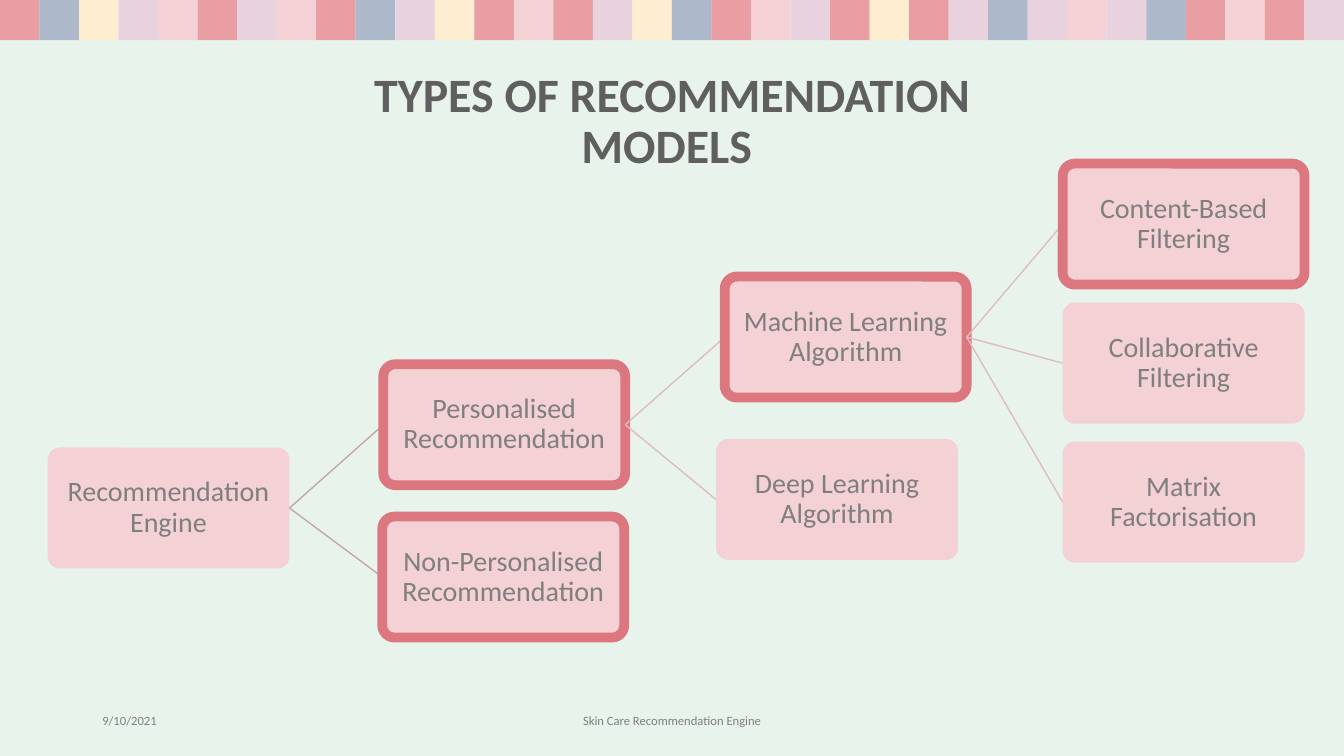
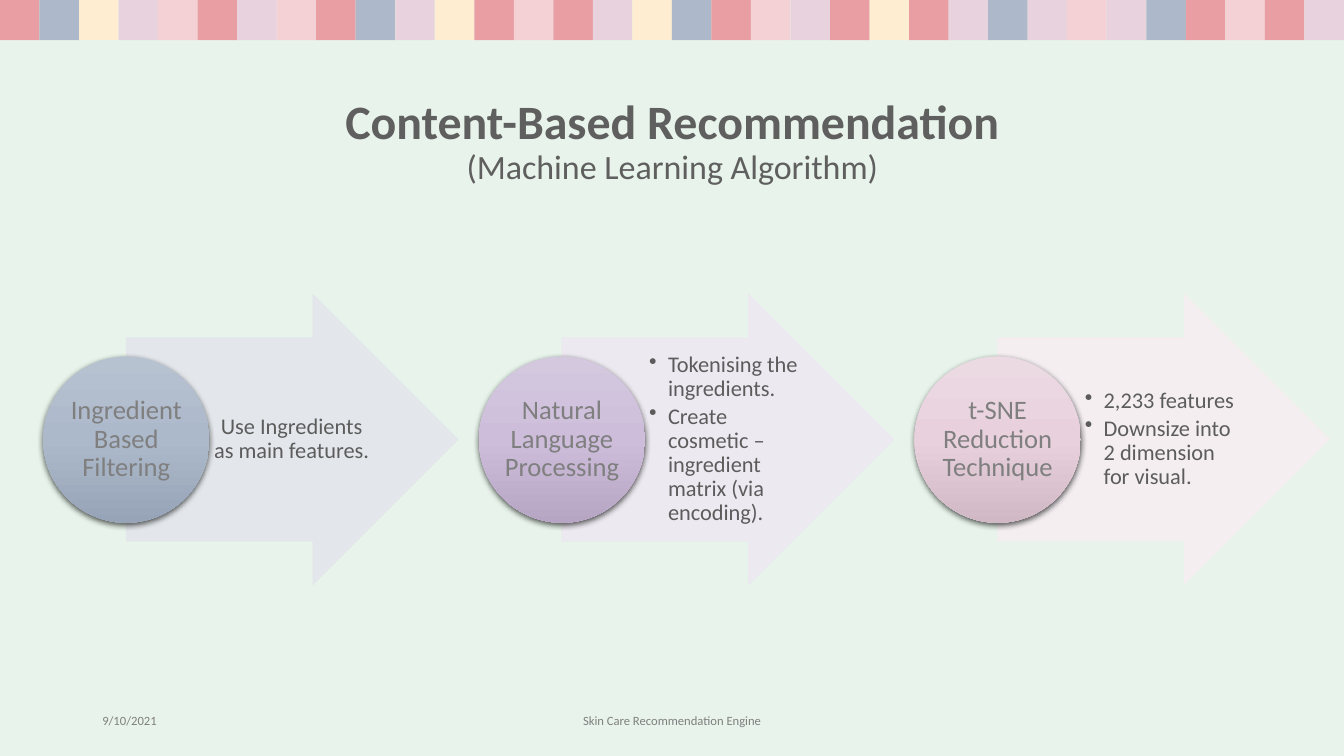
"""Build two slides on recommendation models and content-based filtering."""
from copy import deepcopy

from lxml.etree import SubElement
from pptx import Presentation
from pptx.dml.color import RGBColor
from pptx.enum.shapes import MSO_CONNECTOR as Connector, MSO_SHAPE as Shape
from pptx.enum.text import MSO_ANCHOR as Anchor, PP_ALIGN as Align
from pptx.oxml.ns import qn
from pptx.util import Pt

FONT = "Calibri"
MINT = RGBColor(0xE8, 0xF4, 0xEB)
CORAL = RGBColor(0xE8, 0x9E, 0xA3)
BLUE = RGBColor(0xAD, 0xB9, 0xCA)
CREAM = RGBColor(0xFE, 0xED, 0xD1)
LILAC = RGBColor(0xE7, 0xD2, 0xDD)
PINK = RGBColor(0xF3, 0xD1, 0xD4)
ROSE = RGBColor(0xDC, 0x77, 0x80)
ROOT_BRANCH = RGBColor(0xC3, 0xA7, 0xAA)
BRANCH = RGBColor(0xDD, 0xBE, 0xC0)
TITLE_GRAY = RGBColor(0x5F, 0x5F, 0x5F)
DETAIL_GRAY = RGBColor(0x5C, 0x5C, 0x5C)
LABEL_GRAY = RGBColor(0x7F, 0x7F, 0x7F)
BLACK = RGBColor(0, 0, 0)

WIDTH, HEIGHT = 960, 540
BAND_COLORS = {"R": CORAL, "B": BLUE, "Y": CREAM, "L": LILAC, "P": PINK}
BAND = "RBYLPRLPRBLYRPRLYBRPLRYRLBLPLBRPRL"
TITLE_SIZE, SUBTITLE_SIZE = 34.2, 24.3
NODE_WIDTH, NODE_HEIGHT = 172.8, 86.4
STEP_PITCH = 311.2

NODES = {
    "root": ("Recommendation Engine", 34, 319.7, False),
    "personal": ("Personalised Recommendation", 273.8, 260.2, True),
    "general": ("Non-Personalised Recommendation", 273.1, 369, True),
    "machine": ("Machine Learning Algorithm", 517.7, 197.6, True),
    "deep": ("Deep Learning Algorithm", 511.5, 313.6, False),
    "content": ("Content-Based Filtering", 759.1, 116.9, True),
    "collaborative": ("Collaborative Filtering", 759.1, 216.2, False),
    "matrix": ("Matrix\nFactorisation", 759.1, 315.5, False),
}
BRANCHES = {
    "root": ("personal", "general"),
    "personal": ("machine", "deep"),
    "machine": ("content", "collaborative", "matrix"),
}
STEPS = [
    ("Ingredient Based Filtering", ["Use Ingredients as main features."],
     "E3E6EC", ("B7C2D1", "ACB9CB", "97A4B7")),
    ("Natural Language Processing",
     ["Tokenising the ingredients.",
      "Create cosmetic – ingredient matrix (via encoding)."],
     "EDE8F1", ("D4C8DF", "CDBDDB", "B6A6C4")),
    ("t-SNE Reduction Technique",
     ["2,233 features", "Downsize into 2 dimension for visual."],
     "F6EEF2", ("ECDAE3", "E8D1DD", "D0B8C5")),
]


def set_frame(shape, margins):
    """Wrap and middle-anchor the text, with left, top, right, bottom margins."""
    frame = shape.text_frame
    frame.word_wrap = True
    frame.vertical_anchor = Anchor.MIDDLE
    (frame.margin_left, frame.margin_top,
     frame.margin_right, frame.margin_bottom) = map(Pt, margins)
    return frame


def add_run(paragraph, text, size, color, bold=False):
    """Add one formatted run."""
    run = paragraph.add_run()
    run.text = text
    font = run.font
    font.name, font.size, font.bold = FONT, Pt(size), bold
    font.color.rgb = color


def write_label(shape, text, size, color=LABEL_GRAY, align=Align.CENTER,
                margins=(3.4, 3.4, 3.4, 3.4), spacing=0.9):
    """Write a single paragraph, broken where the text has a line end."""
    paragraph = set_frame(shape, margins).paragraphs[0]
    paragraph.alignment = align
    paragraph.line_spacing = spacing
    for index, line in enumerate(text.split("\n")):
        if index:
            paragraph.add_line_break()
        add_run(paragraph, line, size, color)


def write_bullets(shape, items, size, margins):
    """Write a bulleted list."""
    frame = set_frame(shape, margins)
    for index, item in enumerate(items):
        paragraph = frame.add_paragraph() if index else frame.paragraphs[0]
        properties = paragraph._p.get_or_add_pPr()
        properties.set("marL", str(Pt(13.5)))
        properties.set("indent", str(Pt(-13.5)))
        SubElement(properties, qn("a:buChar")).set("char", "•")
        paragraph.level = 1
        paragraph.alignment = Align.LEFT
        paragraph.line_spacing = 0.9
        paragraph.space_after = Pt(2.4)
        add_run(paragraph, item, size, DETAIL_GRAY)


def add_box(slide, left, top, width, height):
    """Add an empty text box."""
    return slide.shapes.add_textbox(Pt(left), Pt(top), Pt(width), Pt(height))


def add_flat(slide, kind, left, top, width, height, color=None):
    """Add a preset shape without line or shadow."""
    shape = slide.shapes.add_shape(kind, Pt(left), Pt(top), Pt(width), Pt(height))
    shape.shadow.inherit = False
    shape.line.fill.background()
    if color is not None:
        shape.fill.solid()
        shape.fill.fore_color.rgb = color
    return shape


def add_title(slide, left, top, width, runs):
    """Add the centred title, one line per run given as text, size and bold."""
    frame = set_frame(add_box(slide, left, top, width, 104.4), (7.2, 3.6, 7.2, 3.6))
    paragraph = frame.paragraphs[0]
    paragraph.alignment = Align.CENTER
    paragraph.line_spacing = 0.9
    for index, (text, size, bold) in enumerate(runs):
        if index:
            paragraph.add_line_break()
        add_run(paragraph, text, size, TITLE_GRAY, bold)


def add_base_slide(prs):
    """Add a slide with the striped band, the date and the footer."""
    slide = prs.slides.add_slide(prs.slide_layouts[6])
    pitch = WIDTH / len(BAND)
    for index, key in enumerate(BAND):
        add_flat(slide, Shape.RECTANGLE, index * pitch, 0, pitch, 28.8, BAND_COLORS[key])
    for text, left, width, align in (
            ("9/10/2021", 66, 216, Align.LEFT),
            ("Skin Care Recommendation Engine", 318, 324, Align.CENTER)):
        write_label(add_box(slide, left, 500.5, width, 28.8), text, 9,
                    align=align, margins=(7.2, 3.6, 7.2, 3.6), spacing=1.0)
    return slide


def add_node(slide, text, left, top, highlighted):
    """Add one rounded box of the tree."""
    node = add_flat(slide, Shape.ROUNDED_RECTANGLE, left, top,
                    NODE_WIDTH, NODE_HEIGHT, PINK)
    node.adjustments[0] = 0.1
    if highlighted:
        node.line.color.rgb = ROSE
        node.line.width = Pt(7)
    write_label(node, text, 20)
    return node


def add_branch(slide, parent, child, color):
    """Join two boxes with a line that runs beneath the child."""
    branch = slide.shapes.add_connector(Connector.STRAIGHT, 0, 0, 0, 0)
    branch.begin_connect(parent, 3)
    branch.end_connect(child, 1)
    branch.line.color.rgb = color
    branch.line.width = Pt(1)
    SubElement(branch.element.spPr, qn("a:effectLst"))
    child.element.addprevious(branch.element)


def set_alpha(fill_owner, percent):
    """Make every solid colour under an element partly transparent."""
    for color in fill_owner.iter(qn("a:srgbClr")):
        SubElement(color, qn("a:alpha")).set("val", str(percent * 1000))


def add_arrow(slide, left, color):
    """Add the pale block arrow of a step."""
    arrow = add_flat(slide, Shape.RIGHT_ARROW, left, 210.2, 237, 207.4, color)
    arrow.adjustments[0], arrow.adjustments[1] = 0.7, 0.5
    arrow.line.color.rgb = color
    arrow.line.width = Pt(0.5)
    set_alpha(arrow.element.spPr, 90)


def add_circle(slide, left, text, shades):
    """Add the shaded circle that names a step."""
    circle = add_flat(slide, Shape.OVAL, left, 254.6, 118.8, 118.8)
    circle.fill.gradient()
    circle.fill.gradient_angle = 270
    properties = circle.element.spPr
    stops = properties.find(".//" + qn("a:gsLst"))
    stops.append(deepcopy(stops[0]))
    for index, (stop, shade) in enumerate(zip(circle.fill.gradient_stops, shades)):
        stop.position = index / 2
        stop.color.rgb = RGBColor.from_string(shade)
    shadow = SubElement(properties.find(qn("a:effectLst")), qn("a:outerShdw"),
                        blurRad=str(Pt(4.5)), dist=str(Pt(1.5)),
                        dir="5400000", algn="ctr", rotWithShape="0")
    SubElement(shadow, qn("a:srgbClr")).set("val", str(BLACK))
    set_alpha(shadow, 63)
    write_label(circle, text, 19, margins=(0.9, 0.9, 0.9, 0.9))


def add_step(slide, index, name, details, arrow_color, shades):
    """Add one process step: arrow, details and circle."""
    left = 30.8 + index * STEP_PITCH
    margins = (2.9, 0.7, 1.4, 0.7)
    add_arrow(slide, left + 59.4, RGBColor.from_string(arrow_color))
    detail = add_box(slide, left + 118.8, 241.3, 116, 145)
    if len(details) == 1:
        write_label(detail, details[0], 16, DETAIL_GRAY, margins=margins)
    else:
        write_bullets(detail, details, 16, margins)
    add_circle(slide, left, name, shades)


def build_models(prs):
    """Build the tree of recommendation models."""
    slide = add_base_slide(prs)
    add_title(slide, 213, 35.3, 534.2,
              [("TYPES OF RECOMMENDATION MODELS ", TITLE_SIZE, True)])
    nodes = {key: add_node(slide, *node) for key, node in NODES.items()}
    for parent, children in BRANCHES.items():
        color = ROOT_BRANCH if parent == "root" else BRANCH
        for child in children:
            add_branch(slide, nodes[parent], nodes[child], color)


def build_process(prs):
    """Build the three steps of content-based recommendation."""
    slide = add_base_slide(prs)
    add_title(slide, 222.5, 49.7, 515.5,
              [("Content-Based Recommendation", TITLE_SIZE, True),
               ("(Machine Learning Algorithm)", SUBTITLE_SIZE, False)])
    for index, step in enumerate(STEPS):
        add_step(slide, index, *step)


def main():
    """Create and save the presentation."""
    prs = Presentation()
    prs.slide_width, prs.slide_height = Pt(WIDTH), Pt(HEIGHT)
    background = prs.slide_master.background.fill
    background.solid()
    background.fore_color.rgb = MINT
    build_models(prs)
    build_process(prs)
    prs.save("out.pptx")


if __name__ == "__main__":
    main()
